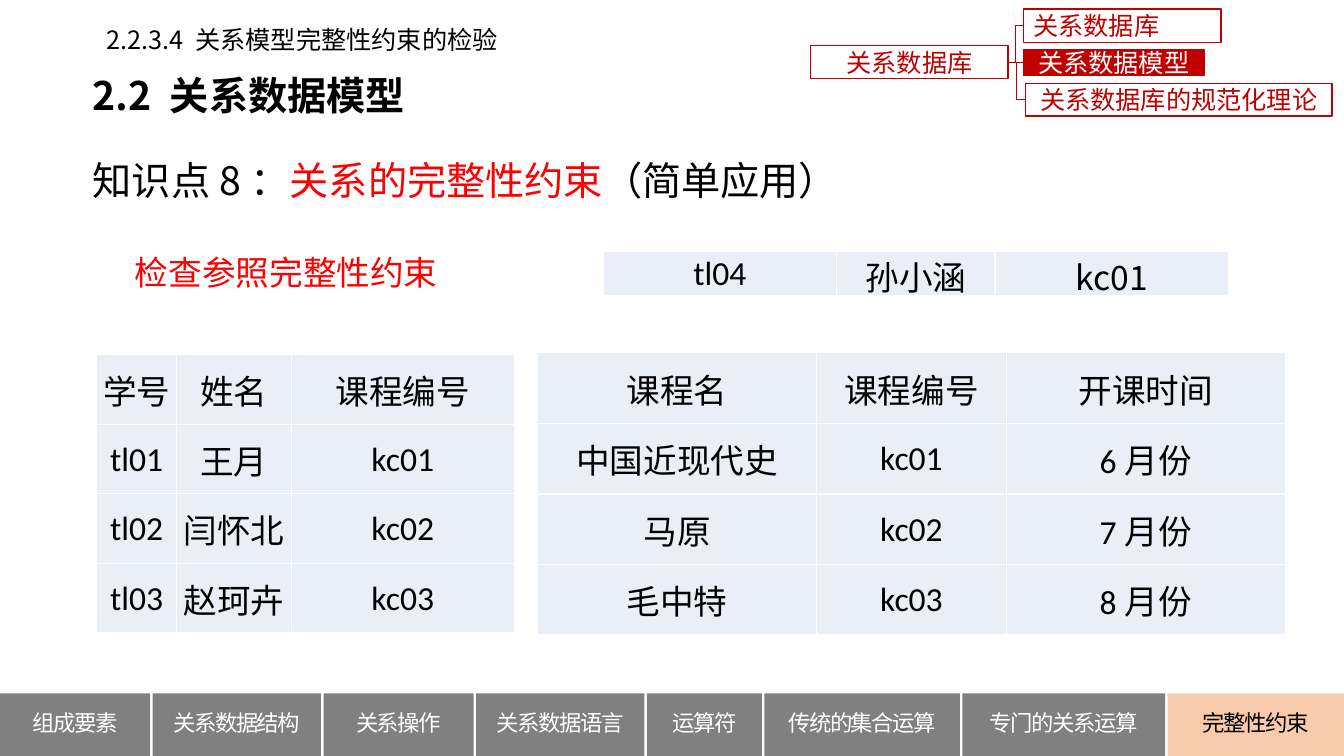
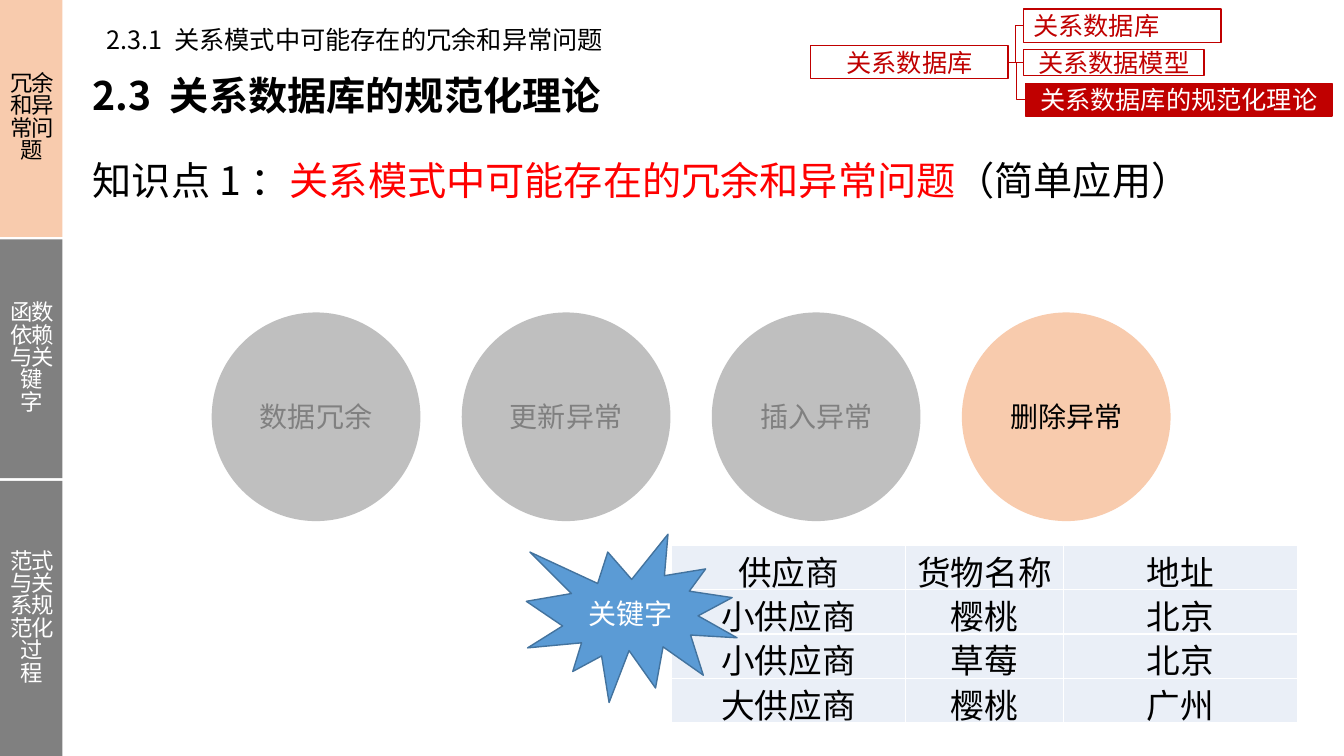
from pptx import Presentation, util as u
from pptx.dml.color import RGBColor
from pptx.enum import shapes, text
from pptx.oxml import parse_xml
from pptx.oxml.ns import nsdecls, qn
from lxml import etree

SC, JP, LATIN = "Noto Sans CJK SC", "Noto Sans CJK JP", "Calibri"
RED, DARK, BLACK, WHITE = "FF0000", "C00000", "000000", "FFFFFF"
GREY, PALE, PEACH, CELL = "808080", "BFBFBF", "F8CBAD", "EAEFF7"
W, H, BAR = 13.33, 7.5, 0.62
RECT, OVAL, BURST = (shapes.MSO_SHAPE.RECTANGLE, shapes.MSO_SHAPE.OVAL,
                     shapes.MSO_SHAPE.EXPLOSION1)
LEFT, MID = text.PP_ALIGN.LEFT, text.PP_ALIGN.CENTER

# Topic map: text, box, alignment
ROOT = ("关系数据库", (8.04, 0.45, 1.96, 0.33))
TOPICS = [
    ("关系数据库", (10.15, 0.09, 1.96, 0.33), LEFT),
    ("关系数据模型", (10.15, 0.49, 1.79, 0.26), MID),
    ("关系数据库的规范化理论", (10.17, 0.83, 3.04, 0.32), MID),
]

# Tabs: text, length along the bar
BOTTOM = [("组成要素", 1.49), ("关系数据结构", 1.67), ("关系操作", 1.49),
          ("关系数据语言", 1.67), ("运算符", 1.14), ("传统的集合运算", 1.94),
          ("专门的关系运算", 2.01), ("完整性约束", 1.75)]
SIDE = [("冗余和异常问题", 2.35), ("函数依赖与关键字", 2.37),
        ("范式与关系规范化过程", 2.73)]

# Tables: left, top, column widths, row height, rows
NARROW = (2.32, 1.57, 2.32)
PUPILS = (0.96, 3.52, (0.79, 1.14, 2.21), 0.69, [
    ("学号", "姓名", "课程编号"),
    ("tl01", "王月", "kc01"),
    ("tl02", "闫怀北", "kc02"),
    ("tl03", "赵珂卉", "kc03")])
COURSES = (5.33, 3.5, (2.77, 1.88, 2.77), 0.7, [
    ("课程名", "课程编号", "开课时间"),
    ("中国近现代史", "kc01", "6月份"),
    ("马原", "kc02", "7月份"),
    ("毛中特", "kc03", "8月份")])
ENTRY = (5.98, 2.49, NARROW, 0.44, [("tl04", "孙小涵", "kc01")])
GOODS = (6.66, 5.41, NARROW, 0.44, [
    ("供应商", "货物名称", "地址"),
    ("小供应商", "樱桃", "北京"),
    ("小供应商", "草莓", "北京"),
    ("大供应商", "樱桃", "广州")])
FAULTS = ["数据冗余", "更新异常", "插入异常", "删除异常"]


def rgb(code):
    return RGBColor.from_string(code)


def inch(vals):
    return [u.Inches(v) for v in vals]


def style(para, size, color, face=SC, bold=None, align=None, lead=None, track=None):
    font = para.font
    font.size, font.bold, font.name = u.Pt(size), bold, face
    font.color.rgb = rgb(color)
    para.alignment, para.line_spacing = align, lead
    props = font._element
    if face != LATIN:
        etree.SubElement(props, qn("a:ea")).set("typeface", face)
    if track:
        props.set("spc", str(track))


def box(slide, kind, at, words, fill, color, size, line=None, align=MID, **more):
    shape = slide.shapes.add_shape(kind, *inch(at))
    shape.shadow.inherit = False
    shape.fill.solid()
    shape.fill.fore_color.rgb = rgb(fill)
    if line:
        shape.line.color.rgb = rgb(line)
        shape.line.width = u.Pt(1)
    else:
        shape.line.fill.background()
    frame = shape.text_frame
    frame.word_wrap = True
    frame.vertical_anchor = text.MSO_ANCHOR.MIDDLE
    frame.text = words
    style(frame.paragraphs[0], size, color, align=align, **more)
    return shape


def label(slide, at, parts, size, pad=(0.1, 0.05), wrap=True, anchor=None, **more):
    """Write (words, color) parts as one paragraph."""
    frame = slide.shapes.add_textbox(*inch(at)).text_frame
    frame.word_wrap, frame.vertical_anchor = wrap, anchor
    frame.margin_left = frame.margin_right = u.Inches(pad[0])
    frame.margin_top = frame.margin_bottom = u.Inches(pad[1])
    para = frame.paragraphs[0]
    for words, color in parts:
        run = para.add_run()
        run.text = words
        if len(parts) > 1:
            run.font.color.rgb = rgb(color)
    style(para, size, parts[0][1], **more)


def topics(slide, active):
    root = box(slide, RECT, ROOT[1], ROOT[0], WHITE, DARK, 18, DARK)
    for i, (words, at, align) in enumerate(TOPICS):
        fill, ink = (DARK, WHITE) if i == active else (WHITE, DARK)
        node = box(slide, RECT, at, words, fill, ink, 18, DARK, align)
        link = slide.shapes.add_connector(shapes.MSO_CONNECTOR.ELBOW, 0, 0, 0, 0)
        link.begin_connect(root, 3)
        link.end_connect(node, 1)
        link.line.color.rgb = rgb(DARK)
        link.line.width = u.Pt(0.5)
        etree.SubElement(link._element.spPr, qn("a:effectLst"))


def tabs(slide, items, active, down=False):
    """Fill one slide edge with tabs and equal gaps."""
    gap = ((H if down else W) - sum(n for _, n in items)) / (len(items) - 1)
    pos = 0
    for i, (words, span) in enumerate(items):
        at = (0, pos, BAR, span) if down else (pos, H - BAR, span, BAR)
        fill, ink = (PEACH, BLACK) if i == active else (GREY, WHITE)
        box(slide, RECT, at, words, fill, ink, 16, lead=u.Pt(16), track=-100)
        pos += span + gap


def grid(slide, data, faces=()):
    """Draw a table; faces maps (row, column) to another font."""
    left, top, cols, high, rows = data
    table = slide.shapes.add_table(
        len(rows), len(cols), *inch((left, top, sum(cols), high * len(rows)))).table
    table.first_row = table.horz_banding = False
    for col, wide in zip(table.columns, cols):
        col.width = u.Inches(wide)
    for r, row in enumerate(rows):
        table.rows[r].height = u.Inches(high)
        for c, words in enumerate(row):
            cell = table.cell(r, c)
            cell.text = words
            cell.vertical_anchor = text.MSO_ANCHOR.MIDDLE
            cell.margin_left = cell.margin_right = cell.margin_top = u.Inches(0.01)
            cell.margin_bottom = 0
            face = SC if (r, c) in faces else LATIN
            style(cell.text_frame.paragraphs[0], 24, BLACK, face, align=MID)
            props = cell._tc.get_or_add_tcPr()
            for side in ("lnL", "lnR", "lnT", "lnB"):
                props.append(parse_xml(
                    f'<a:{side} {nsdecls("a")} w="12700"><a:solidFill>'
                    f'<a:srgbClr val="{WHITE}"/></a:solidFill></a:{side}>'))
            cell.fill.solid()
            cell.fill.fore_color.rgb = rgb(CELL)


def start(deck, crumb, title, point, active):
    """Add a slide with the shared heading parts."""
    slide = deck.slides.add_slide(deck.slide_layouts[6])
    pad = (0.12, 0.06)
    label(slide, (0.96, 0.19, 5.13, 0.4), [(crumb, BLACK)], 18, wrap=False, align=LEFT)
    label(slide, (0.8, 0.65, 9.65, 0.59), [(title, BLACK)], 28, pad, bold=True)
    label(slide, (0.8, 1.15, 12.16, 1.04),
          list(zip(point, (BLACK, RED, BLACK))), 28, pad,
          anchor=text.MSO_ANCHOR.MIDDLE, lead=1.5)
    topics(slide, active)
    return slide


def main():
    deck = Presentation()
    deck.slide_width, deck.slide_height = inch((W, H))

    # Integrity check
    slide = start(deck, "2.2.3.4 关系模型完整性约束的检验", "2.2 关系数据模型",
                  ("知识点8：", "关系的完整性约束", "（简单应用）"), 1)
    label(slide, (1.24, 2.34, 3.21, 0.62), [("检查参照完整性约束", RED)], 24,
          face=JP, lead=u.Pt(37))
    tabs(slide, BOTTOM, 7)
    grid(slide, PUPILS)
    grid(slide, COURSES)
    grid(slide, ENTRY, {(0, 1), (0, 2)})

    # Redundancy and anomalies
    slide = start(deck, "2.3.1 关系模式中可能存在的冗余和异常问题",
                  "2.3 关系数据库的规范化理论",
                  ("知识点1：", "关系模式中可能存在的冗余和异常问题", "（简单应用）"), 2)
    for i, words in enumerate(FAULTS):
        fill, ink = (PEACH, BLACK) if i == 3 else (PALE, GREY)
        box(slide, OVAL, (2.1 + 2.48 * i, 3.1, 2.07, 2.07), words, fill, ink, 20, face=JP)
    tabs(slide, SIDE, 0, down=True)
    grid(slide, GOODS, {(3, 2)})
    box(slide, BURST, (5.22, 5.3, 2.09, 1.67), "关键字", "5B9BD5", WHITE, 20, "43739E")

    deck.save("out.pptx")


if __name__ == "__main__":
    main()
